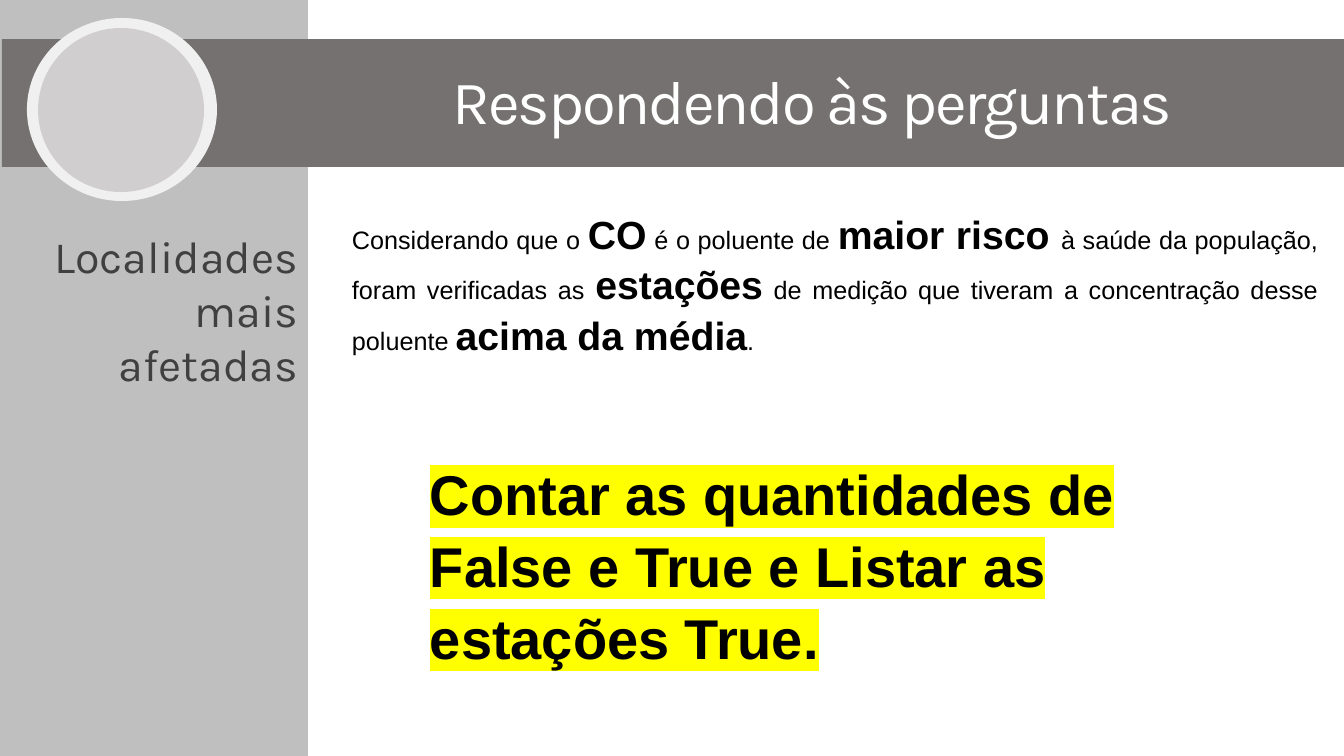
import pptx
import pptx.dml.color
import pptx.enum.shapes
import pptx.enum.text
import pptx.oxml
import pptx.oxml.ns
import pptx.util

EMU_PER_PX = 914400 / 100.8
COLORS = {
    "sidebar": "BFBFBF",
    "banner": "767171",
    "ring": "F0F0F0",
    "disc": "D0CECE",
    "subtitle": "404040",
    "title": "FFFFFF",
    "body": "000000",
    "highlight": "FFFF00",
}
SHAPE = pptx.enum.shapes.MSO_SHAPE
ALIGN = pptx.enum.text.PP_ALIGN


def px(length):
    return pptx.util.Emu(round(length * EMU_PER_PX))


def rgb(name):
    return pptx.dml.color.RGBColor.from_string(COLORS[name])


def add_block(page, kind, bounds, color):
    block = page.shapes.add_shape(kind, *map(px, bounds))
    block.shadow.inherit = False
    block.fill.solid()
    block.fill.fore_color.rgb = rgb(color)
    block.line.fill.background()


def add_paragraph_box(page, bounds, align, line_spacing=None):
    box = page.shapes.add_textbox(*map(px, bounds))
    frame = box.text_frame
    frame.word_wrap = True
    frame.auto_size = pptx.enum.text.MSO_AUTO_SIZE.SHAPE_TO_FIT_TEXT
    para = frame.paragraphs[0]
    para.alignment = align
    if line_spacing:
        para.line_spacing = line_spacing
    return para


def add_span(para, text, size, font="Arial", color="body", bold=False):
    span = para.add_run()
    span.text = text
    span.font.size = pptx.util.Pt(size)
    span.font.name = font
    span.font.bold = bold
    span.font.color.rgb = rgb(color)
    return span


def set_tracking(span, points):
    span.font._element.set("spc", str(round(points * 100)))


def set_highlight(span, color):
    highlight = pptx.oxml.parse_xml(
        f'<a:highlight {pptx.oxml.ns.nsdecls("a")}>'
        f'<a:srgbClr val="{COLORS[color]}"/></a:highlight>'
    )
    span.font._element.find(pptx.oxml.ns.qn("a:solidFill")).addnext(highlight)


def add_emphasis_text(para, parts):
    for text, strong in parts:
        add_span(para, text, 28 if strong else 18, bold=strong)


def main():
    deck = pptx.Presentation()
    deck.slide_width = px(1344)
    deck.slide_height = px(756)
    page = deck.slides.add_slide(deck.slide_layouts[6])

    add_block(page, SHAPE.RECTANGLE, (0, -2, 308, 758), "sidebar")
    subtitle = add_paragraph_box(page, (11, 224, 297, 119), ALIGN.RIGHT)
    add_span(subtitle, "Localidades mais afetadas", 32, "Karla", "subtitle")

    add_block(page, SHAPE.RECTANGLE, (2, 39, 1342, 128), "banner")
    add_block(page, SHAPE.OVAL, (27, 18, 190, 183), "ring")
    add_block(page, SHAPE.OVAL, (38, 28, 166, 164), "disc")
    title = add_paragraph_box(page, (281, 58, 1063, 85), ALIGN.CENTER)
    set_tracking(add_span(title, "Respondendo às perguntas", 44, "Karla", "title"), -1.5)

    body = add_paragraph_box(page, (342, 202, 986, 152), ALIGN.JUSTIFY, 1.07)
    add_emphasis_text(body, [
        ("Considerando que o ", False),
        ("CO", True),
        (" é o poluente de ", False),
        ("maior risco ", True),
        ("à saúde da população, foram verificadas as ", False),
        ("estações", True),
        (" de medição que tiveram a concentração desse poluente ", False),
        ("acima da média", True),
        (".", False),
    ])

    task = add_paragraph_box(page, (420, 450, 825, 212), ALIGN.LEFT, 1.07)
    task_text = "Contar as quantidades de False e True e Listar as estações True."
    set_highlight(add_span(task, task_text, 40, bold=True), "highlight")

    deck.save("out.pptx")


if __name__ == "__main__":
    main()
